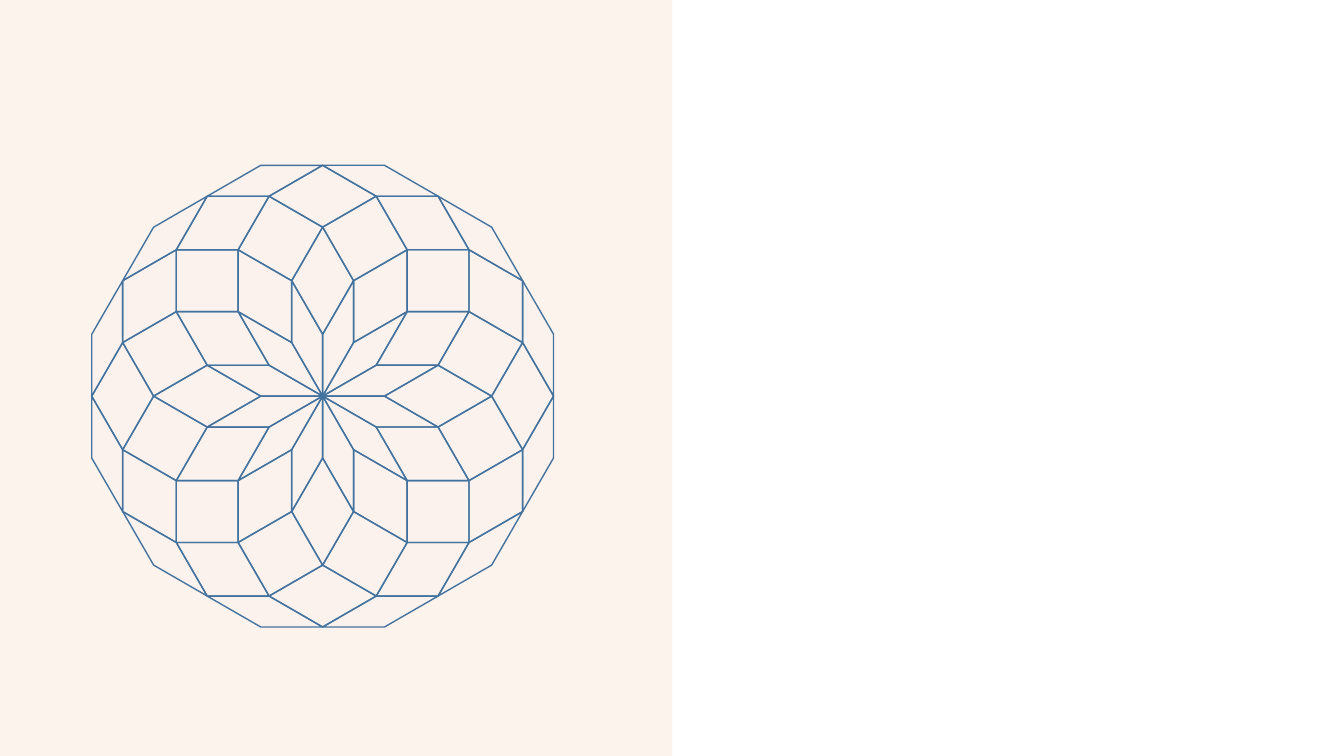
from math import cos, radians, sin, sqrt

from lxml.etree import SubElement
from pptx import Presentation
from pptx.dml.color import RGBColor
from pptx.enum.shapes import MSO_CONNECTOR as Connector, MSO_SHAPE as Shape
from pptx.oxml.ns import qn
from pptx.util import Inches, Pt

# Theme: colour, opacity in percent, line width in points
THEME = {
    "panel": {"color": "F4B183", "opacity": 14},
    "divider": {"color": "FBE5D6", "opacity": 50, "width": 0.25},
    "tile": {"color": "EEEEEE", "opacity": 10},
    "outline": {"color": "43739E", "opacity": 100, "width": 1},
}
WIDTH, HEIGHT = 13.33, 7.5
CENTER_X, CENTER_Y = 3.2, 3.93
RADIUS = 2.29
STEP = 30
TILES_PER_PETAL = 5
SIDE = RADIUS / (2 + sqrt(3))


def paint(fill, style):
    """Set a solid colour with its opacity."""
    fill.solid()
    fill.fore_color.rgb = RGBColor.from_string(style["color"])
    if style["opacity"] < 100:
        color = fill._xPr.find(qn("a:solidFill"))[0]
        SubElement(color, qn("a:alpha"), val=str(style["opacity"] * 1000))


def move(point, angle, length=SIDE):
    """Go from a point at an angle measured clockwise from straight up."""
    return (point[0] + length * sin(radians(angle)),
            point[1] - length * cos(radians(angle)))


presentation = Presentation()
presentation.slide_width = Inches(WIDTH)
presentation.slide_height = Inches(HEIGHT)
slide = presentation.slides.add_slide(presentation.slide_layouts[6])

# Tinted left half
panel = slide.shapes.add_shape(Shape.RECTANGLE, 0, 0, Inches(WIDTH / 2), Inches(HEIGHT))
panel.shadow.inherit = False
panel.line.fill.background()
paint(panel.fill, THEME["panel"])

# Middle divider
divider = slide.shapes.add_connector(
    Connector.STRAIGHT, Inches(WIDTH / 2), Inches(HEIGHT), Inches(WIDTH / 2), 0)
paint(divider.line.fill, THEME["divider"])
divider.line.width = Pt(THEME["divider"]["width"])
SubElement(divider._element.spPr, qn("a:effectLst"))

# Upright petal: each rhombus stands on the right or left corner of the last
petal = []
base = (CENTER_X, CENTER_Y)
for index in range(TILES_PER_PETAL):
    right_angle = STEP * ((index + 1) // 2)
    left_angle = -STEP * (index // 2 + 1)
    right, left = move(base, right_angle), move(base, left_angle)
    petal.append((right, base, left, move(right, left_angle)))
    base = left if index % 2 else right

# Rosette: turn the petal around the centre
for angle in range(0, 360, STEP):
    for corners in petal:
        points = [(Inches(x), Inches(y)) for x, y in corners]
        builder = slide.shapes.build_freeform(*points[0])
        builder.add_line_segments(points[1:], close=True)
        tile = builder.convert_to_shape()

        # The middle of a rhombus lies halfway between opposite corners
        offset_x = (corners[0][0] + corners[2][0]) / 2 - CENTER_X
        offset_y = (corners[0][1] + corners[2][1]) / 2 - CENTER_Y
        middle = move((CENTER_X, CENTER_Y), angle, -offset_y)
        middle = move(middle, angle + 90, offset_x)

        placement = {
            "left": Inches(middle[0]) - tile.width // 2,
            "top": Inches(middle[1]) - tile.height // 2,
            "rotation": angle,
        }
        for name, value in placement.items():
            setattr(tile, name, value)
        tile.shadow.inherit = False
        paint(tile.fill, THEME["tile"])
        paint(tile.line.fill, THEME["outline"])
        tile.line.width = Pt(THEME["outline"]["width"])

presentation.save("out.pptx")
